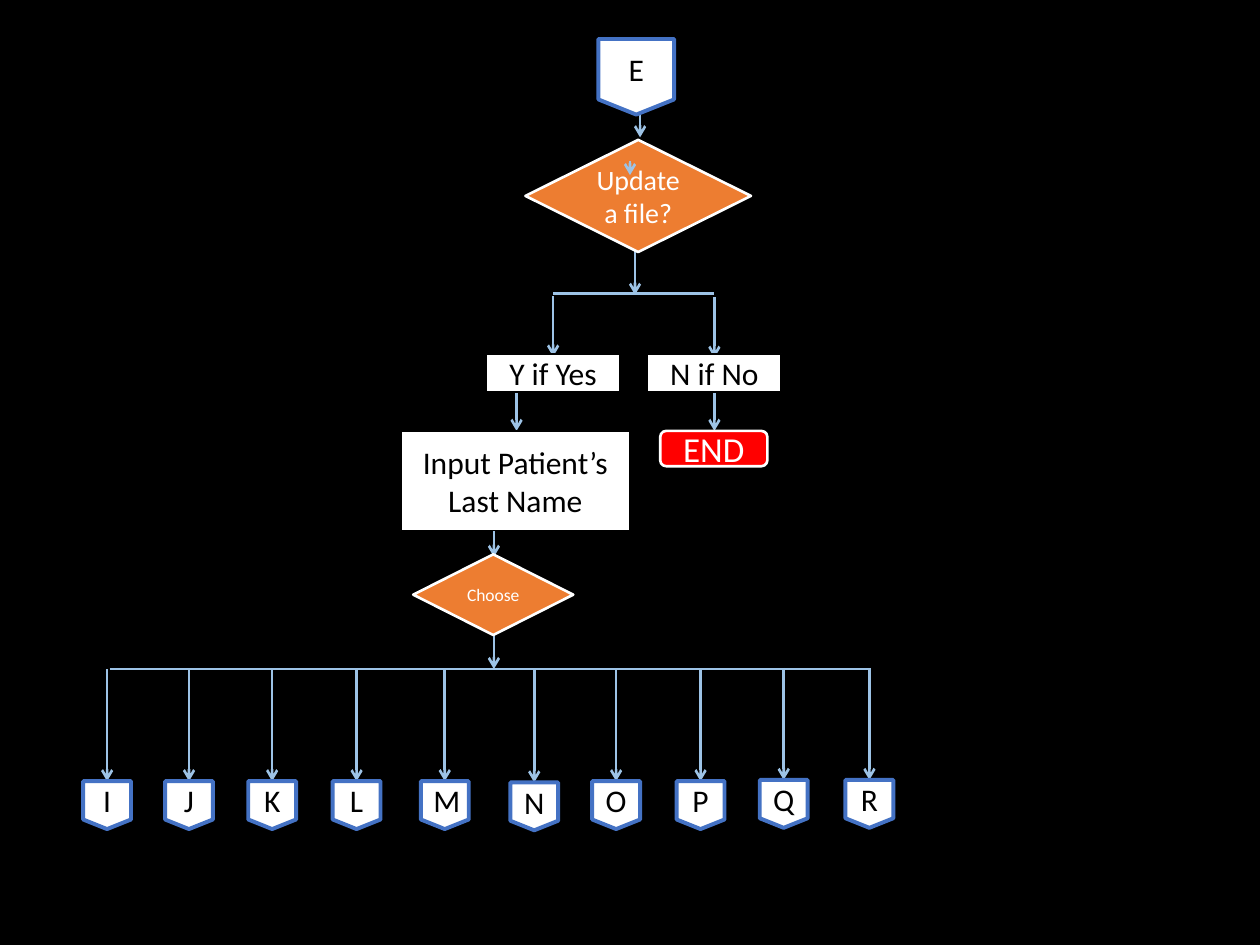
from dataclasses import dataclass

import lxml.etree
import pptx
import pptx.dml.color
import pptx.enum.shapes
import pptx.enum.text
import pptx.oxml.ns
import pptx.util

Inches = pptx.util.Inches
Pt = pptx.util.Pt
RGB = pptx.dml.color.RGBColor.from_string
SHAPE = pptx.enum.shapes.MSO_SHAPE


@dataclass(frozen=True)
class Theme:
    font: str = "Calibri"
    background: str = "000000"
    black: str = "000000"
    white: str = "FFFFFF"
    arrow: str = "9DC3E6"
    orange: str = "ED7D31"
    blue: str = "4472C4"
    red: str = "FF0000"
    small: float = 10
    medium: float = 16
    body: float = 18
    large: float = 20
    line: float = 1.5


THEME = Theme()


@dataclass(frozen=True)
class Style:
    kind: SHAPE
    fill: str
    line: str
    weight: float
    text: str
    size: float


CONNECTOR = Style(SHAPE.FLOWCHART_OFFPAGE_CONNECTOR, THEME.white, THEME.blue, 2.25, THEME.black, THEME.body)
PROCESS = Style(SHAPE.RECTANGLE, THEME.white, THEME.black, 1, THEME.black, THEME.body)
DECISION = Style(SHAPE.FLOWCHART_DECISION, THEME.orange, THEME.white, THEME.line, THEME.white, THEME.medium)
CHOICE = Style(SHAPE.FLOWCHART_DECISION, THEME.orange, THEME.white, THEME.line, THEME.white, THEME.small)
TERMINAL = Style(SHAPE.ROUNDED_RECTANGLE, THEME.red, THEME.white, THEME.line, THEME.white, THEME.large)


@dataclass(frozen=True)
class Node:
    text: str
    style: Style
    left: float
    top: float
    width: float
    height: float


@dataclass(frozen=True)
class Line:
    x1: float
    y1: float
    x2: float
    y2: float
    arrow: bool = True


@dataclass(frozen=True)
class Branch:
    letter: str
    x: float
    top: float = 6.2


def down(x: float, top: float, length: float = 0.48) -> Line:
    return Line(x, top, x, top + length)


# Listed from back to front.
FLOW: list[Node | Line] = [
    down(3.92, 4.83),
    down(3.92, 3.94),
    down(5.67, 2.94),
    down(4.1, 2.94),
    down(5.04, 1.86),
    down(5.08, 0.61),
    Node("E", CONNECTOR, 4.75, 0.31, 0.6, 0.6),
    Node("Input Patient’s Last Name", PROCESS, 3.18, 3.42, 1.82, 0.79),
    Line(4.39, 2.33, 5.67, 2.33, arrow=False),
    down(4.39, 2.35),
    down(5.67, 2.36),
    Node("Update a file?", DECISION, 4.17, 1.11, 1.79, 0.89),
    Node("N if No", PROCESS, 5.14, 2.81, 1.06, 0.3),
    Node("Y if Yes", PROCESS, 3.86, 2.81, 1.06, 0.3),
    Node("END", TERMINAL, 5.24, 3.42, 0.85, 0.28),
    down(5, 1.28, 0.11),
    Node("Choose", CHOICE, 3.28, 4.4, 1.27, 0.64),
]

BRANCHES = [
    Branch("I", 0.85), Branch("J", 1.5), Branch("K", 2.16), Branch("L", 2.83),
    Branch("M", 3.53), Branch("N", 4.24, 6.21), Branch("O", 4.89),
    Branch("P", 5.56), Branch("Q", 6.22, 6.19), Branch("R", 6.9, 6.19),
]
BRANCH_BAR = Line(0.87, 5.31, 6.9, 5.31, arrow=False)
BRANCH_SIZE = 0.38
BRANCH_DROP = 0.89


def draw_line(shapes, line: Line) -> None:
    s = shapes.add_connector(
        pptx.enum.shapes.MSO_CONNECTOR.STRAIGHT,
        Inches(line.x1), Inches(line.y1), Inches(line.x2), Inches(line.y2),
    )
    s.line.color.rgb = RGB(THEME.arrow)
    s.line.width = Pt(THEME.line)
    qn = pptx.oxml.ns.qn
    if line.arrow:
        lxml.etree.SubElement(s.line._get_or_add_ln(), qn("a:tailEnd"), type="arrow")
    lxml.etree.SubElement(s._element.spPr, qn("a:effectLst"))


def draw_node(shapes, node: Node) -> None:
    style = node.style
    sp = shapes.add_shape(
        style.kind, Inches(node.left), Inches(node.top), Inches(node.width), Inches(node.height)
    )
    sp.shadow.inherit = False
    sp.fill.solid()
    sp.fill.fore_color.rgb = RGB(style.fill)
    sp.line.color.rgb = RGB(style.line)
    sp.line.width = Pt(style.weight)
    tf = sp.text_frame
    tf.word_wrap = True
    tf.vertical_anchor = pptx.enum.text.MSO_ANCHOR.MIDDLE
    p = tf.paragraphs[0]
    p.text = node.text
    p.alignment = pptx.enum.text.PP_ALIGN.CENTER
    p.font.name = THEME.font
    p.font.size = Pt(style.size)
    p.font.color.rgb = RGB(style.text)


def draw_branch(shapes, branch: Branch) -> None:
    draw_line(shapes, down(branch.x, branch.top - BRANCH_DROP, BRANCH_DROP))
    left = branch.x - BRANCH_SIZE / 2
    draw_node(shapes, Node(branch.letter, CONNECTOR, left, branch.top, BRANCH_SIZE, BRANCH_SIZE))


def main() -> None:
    prs = pptx.Presentation()
    prs.slide_width, prs.slide_height = Inches(10), Inches(7.5)
    slide = prs.slides.add_slide(prs.slide_layouts[6])
    slide.background.fill.solid()
    slide.background.fill.fore_color.rgb = RGB(THEME.background)

    for item in FLOW:
        if isinstance(item, Line):
            draw_line(slide.shapes, item)
        else:
            draw_node(slide.shapes, item)

    group = slide.shapes.add_group_shape()
    draw_line(group.shapes, BRANCH_BAR)
    for branch in BRANCHES:
        draw_branch(group.shapes, branch)

    prs.save("out.pptx")


if __name__ == "__main__":
    main()
